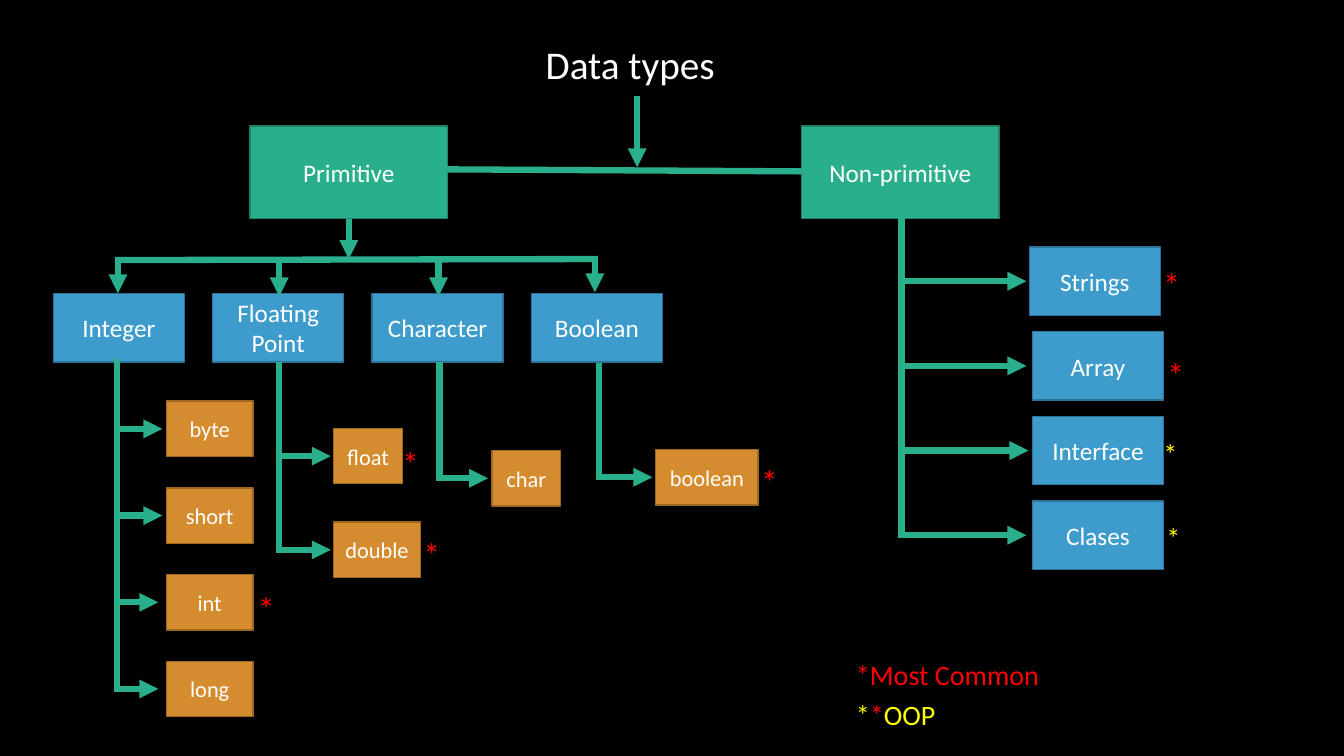
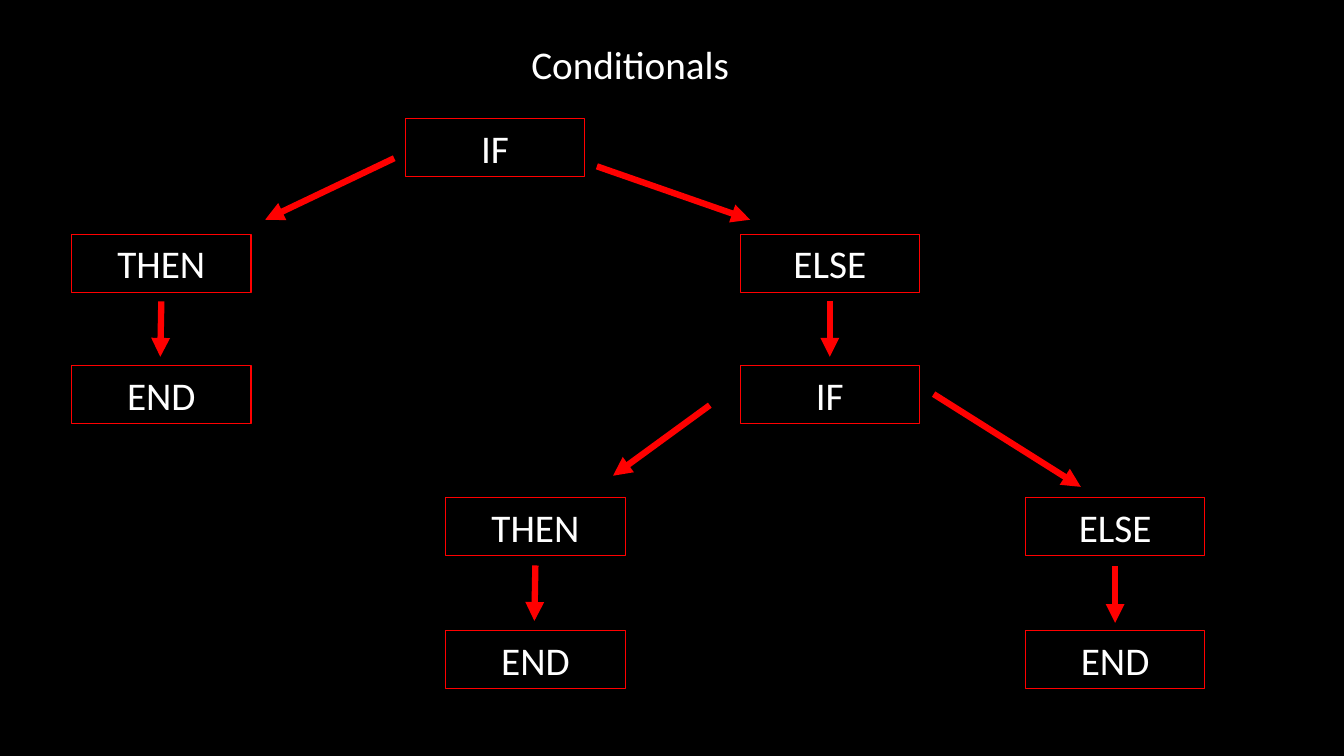
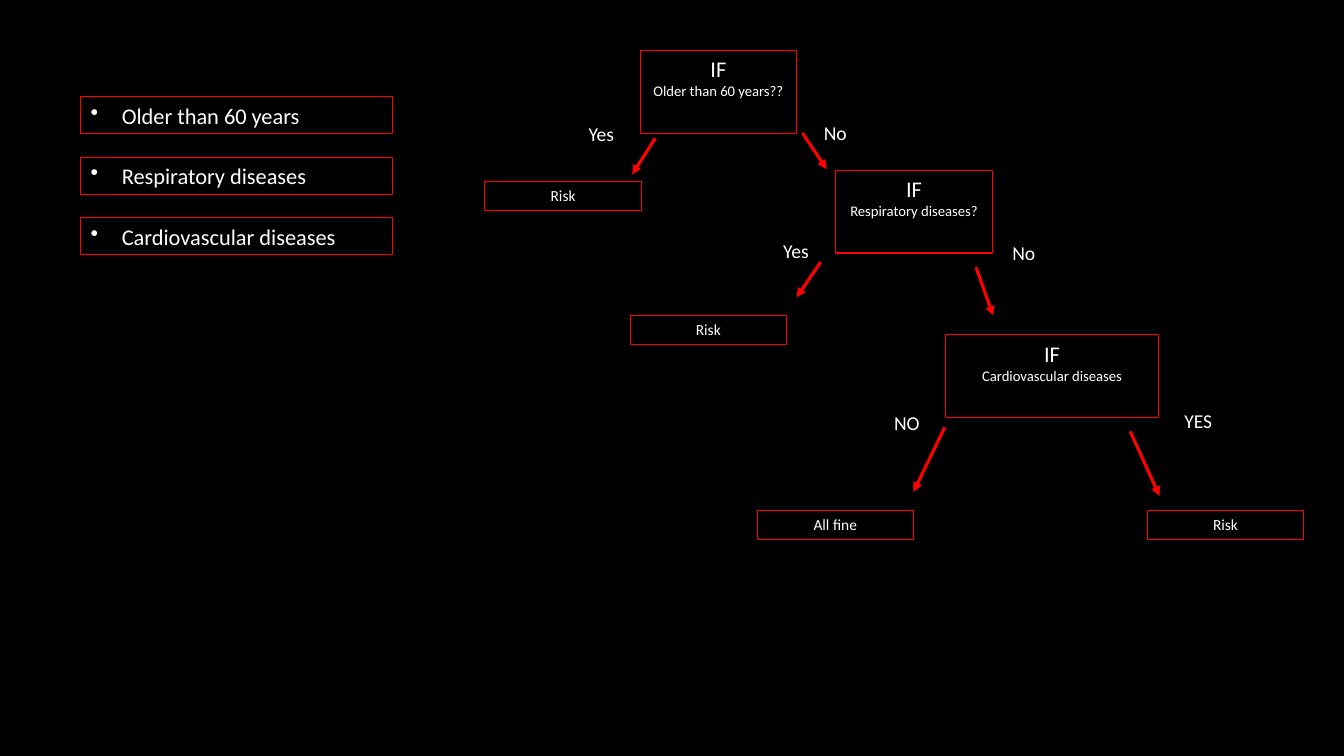
from lxml.etree import SubElement
from pptx import Presentation
from pptx.dml.color import RGBColor
from pptx.enum.shapes import MSO_CONNECTOR as Connector, MSO_SHAPE as Shape
from pptx.enum.text import MSO_ANCHOR as Anchor, PP_ALIGN as Align
from pptx.oxml.ns import qn
from pptx.util import Inches, Pt

FONT = "Calibri"
BLACK, WHITE, RED, YELLOW = "000000", "FFFFFF", "FF0000", "FFFF00"
GREEN = "29AF8C"
KIND = (GREEN, "1E8168", 18)
GROUP = ("3D9CCC", "2D7397", 18)
TYPE = ("D58C2E", "9E6822", 16)


def rgb(value):
    return RGBColor.from_string(value)


class Deck:
    def __init__(self):
        self.presentation = Presentation()
        self.presentation.slide_width = Inches(13.33)
        self.presentation.slide_height = Inches(7.5)

    def new_slide(self, title=None):
        blank = self.presentation.slide_layouts[6]
        self.slide = self.presentation.slides.add_slide(blank)
        background = self.slide.background.fill
        background.solid()
        background.fore_color.rgb = rgb(BLACK)
        if title:
            self.label(title, 4.54, 0.35, 3.42, 0.57, 28)

    def set_lines(self, shape, lines, color=WHITE, align=Align.CENTER, anchor=Anchor.TOP):
        """Fill a shape with (text, size) lines and return the last paragraph."""
        frame = shape.text_frame
        frame.word_wrap = True
        frame.vertical_anchor = anchor
        for index, (text, size) in enumerate(lines):
            paragraph = frame.add_paragraph() if index else frame.paragraphs[0]
            paragraph.text = text
            paragraph.alignment = align
            paragraph.font.name = FONT
            paragraph.font.size = Pt(size)
            paragraph.font.color.rgb = rgb(color)
        return paragraph

    def label(self, text, left, top, width, height, size, color=WHITE, align=Align.CENTER):
        area = self.slide.shapes.add_textbox(
            Inches(left), Inches(top), Inches(width), Inches(height))
        return self.set_lines(area, [(text, size)], color, align)

    def rectangle(self, left, top, width, height, outline, weight, fill=None):
        shape = self.slide.shapes.add_shape(
            Shape.RECTANGLE, Inches(left), Inches(top), Inches(width), Inches(height))
        shape.shadow.inherit = False
        shape.line.color.rgb = rgb(outline)
        shape.line.width = Pt(weight)
        if fill:
            shape.fill.solid()
            shape.fill.fore_color.rgb = rgb(fill)
        else:
            shape.fill.background()
        return shape

    def block(self, text, left, top, width, height, style):
        fill, outline, size = style
        shape = self.rectangle(left, top, width, height, outline, 1, fill)
        self.set_lines(shape, [(text, size)], anchor=Anchor.MIDDLE)

    def frame(self, lines, left, top, width, height):
        """Red outlined box with text at the top."""
        shape = self.rectangle(left, top, width, height, RED, 0.75)
        self.set_lines(shape, lines)

    def bullet(self, text, left, top, width, height):
        shape = self.rectangle(left, top, width, height, RED, 0.75)
        paragraph = self.set_lines(shape, [(text, 16)], align=Align.LEFT)
        properties = paragraph.font._element.getparent()
        properties.set("marL", str(Inches(0.31)))
        properties.set("indent", str(-Inches(0.31)))
        mark = SubElement(properties, qn("a:buChar"))
        mark.set("char", "•")
        properties.insert(0, mark)

    def line(self, start, end, color=GREEN, weight=4.5, arrow=True):
        connector = self.slide.shapes.add_connector(
            Connector.STRAIGHT, *[Inches(value) for value in (*start, *end)])
        connector.line.color.rgb = rgb(color)
        connector.line.width = Pt(weight)
        if arrow:
            outline = connector.line._get_or_add_ln()
            SubElement(outline, qn("a:tailEnd")).set("type", "triangle")
        SubElement(connector._element.spPr, qn("a:effectLst"))

    def branches(self, trunk, top, height, style, children):
        """Vertical trunk with an arrow to each (text, left, top, width, arrow tip)."""
        bottom = children[-1][2] + height / 2 + 0.03
        self.line((trunk, top), (trunk, bottom), arrow=False)
        for text, left, child_top, width, tip in children:
            middle = child_top + height / 2
            self.line((trunk, middle), (tip, middle))
            self.block(text, left, child_top, width, height, style)


def data_types(deck):
    deck.new_slide("Data types")
    for kind, left in (("Primitive", 2.48), ("Non-primitive", 7.95)):
        deck.block(kind, left, 1.25, 1.96, 0.92, KIND)
    deck.line((7.95, 1.7), (4.43, 1.68), arrow=False)
    deck.line((6.32, 0.95), (6.32, 1.66))

    deck.line((3.46, 2.17), (3.46, 2.57))
    deck.line((5.93, 2.57), (1.14, 2.58), arrow=False)
    groups = (("Integer", 1.17, 2.57), ("Floating Point", 2.77, 2.6),
              ("Character", 4.35, 2.6), ("Boolean", 5.9, 2.56))
    for index, (group, drop, top) in enumerate(groups):
        deck.block(group, 0.53 + 1.58 * index, 2.91, 1.3, 0.68, GROUP)
        deck.line((drop, top), (drop, top + 0.34))

    integers = (("byte", 1.61), ("short", 1.61), ("int", 1.57), ("long", 1.57))
    deck.branches(1.16, 3.56, 0.55, TYPE, [
        (name, 1.65, 3.98 + 0.86 * index, 0.86, tip)
        for index, (name, tip) in enumerate(integers)])
    deck.branches(2.77, 3.59, 0.55, TYPE, [
        ("float", 3.31, 4.25, 0.68, 3.28), ("double", 3.31, 5.18, 0.86, 3.28)])
    deck.branches(4.36, 3.59, 0.55, TYPE, [("char", 4.88, 4.47, 0.68, 4.84)])
    deck.branches(5.94, 3.6, 0.55, TYPE, [("boolean", 6.5, 4.46, 1.02, 6.47)])
    references = (("Strings", 10.21, 10.18), ("Array", 10.24, 10.18),
                  ("Interface", 10.24, 10.2), ("Clases", 10.24, 10.18))
    deck.branches(8.94, 2.11, 0.68, GROUP, [
        (name, left, 2.45 + 0.84 * index, 1.3, tip)
        for index, (name, left, tip) in enumerate(references)])

    for left, top in ((2.46, 5.78), (4.1, 5.25), (3.89, 4.34),
                      (7.45, 4.52), (11.44, 2.57), (11.48, 3.46)):
        deck.label("*", left, top, 0.37, 0.5, 24, RED, Align.LEFT)
    for left, top in ((11.44, 4.28), (11.47, 5.11)):
        deck.label("*", left, top, 0.34, 0.44, 20, YELLOW, Align.LEFT)
    deck.label("*Most Common", 8.39, 6.47, 2.03, 0.44, 20, RED, Align.LEFT)
    legend = deck.label("", 8.39, 6.87, 1, 0.44, 20, YELLOW, Align.LEFT)
    for text, color in (("*", YELLOW), ("*", RED), ("OOP", YELLOW)):
        run = legend.add_run()
        run.text = text
        run.font.color.rgb = rgb(color)


def conditionals(deck):
    deck.new_slide("Conditionals")
    steps = (("IF", 4.02, 1.18), ("THEN", 0.71, 2.33), ("ELSE", 7.34, 2.33),
             ("END", 0.71, 3.63), ("IF", 7.34, 3.63), ("THEN", 4.42, 4.94),
             ("ELSE", 10.17, 4.94), ("END", 4.42, 6.26), ("END", 10.17, 6.26))
    for word, left, top in steps:
        deck.frame([(word, 28)], left, top, 1.78, 0.57)
    arrows = (((3.91, 1.57), (2.63, 2.18)), ((5.92, 1.65), (7.44, 2.18)),
              ((1.6, 2.99), (1.59, 3.54)), ((8.23, 2.99), (8.23, 3.54)),
              ((7.04, 4.02), (6.08, 4.72)), ((9.26, 3.91), (10.72, 4.83)),
              ((5.31, 5.61), (5.3, 6.16)), ((11.06, 5.62), (11.06, 6.18)))
    for start, end in arrows:
        deck.line(start, end, RED)


def risk_tree(deck):
    deck.new_slide()
    factors = ("Older than 60 years", "Respiratory diseases", "Cardiovascular diseases")
    for index, factor in enumerate(factors):
        deck.bullet(factor, 0.8, 0.96 + 0.6 * index, 3.09, 0.37)

    questions = (("Older than 60 years??", 6.35, 0.5, 1.55),
                 ("Respiratory diseases?", 8.29, 1.69, 1.55),
                 ("Cardiovascular diseases", 9.38, 3.32, 2.11))
    for question, left, top, width in questions:
        deck.frame([("IF", 16), (question, 10.5)], left, top, width, 0.82)
    outcomes = (("Risk", 4.81, 1.8), ("Risk", 6.25, 3.13),
                ("Risk", 11.38, 5.06), ("All fine", 7.51, 5.06))
    for outcome, left, top in outcomes:
        deck.frame([(outcome, 11)], left, top, 1.55, 0.29)
    answers = (("No", 7.9, 1.15), ("Yes", 5.58, 1.16), ("Yes", 7.51, 2.32),
               ("No", 9.77, 2.34), ("NO", 8.61, 4.03), ("YES", 11.5, 4.01))
    for answer, left, top in answers:
        deck.label(answer, left, top, 0.77, 0.34, 14)
    arrows = (((6.5, 1.37), (6.27, 1.73)), ((7.96, 1.32), (8.2, 1.68)),
              ((8.14, 2.6), (7.9, 2.95)), ((9.68, 2.65), (9.85, 3.13)),
              ((9.37, 4.24), (9.06, 4.88)), ((11.21, 4.28), (11.5, 4.92)))
    for start, end in arrows:
        deck.line(start, end, RED, 2.25)


def main():
    deck = Deck()
    data_types(deck)
    conditionals(deck)
    risk_tree(deck)
    deck.presentation.save("out.pptx")


if __name__ == "__main__":
    main()
